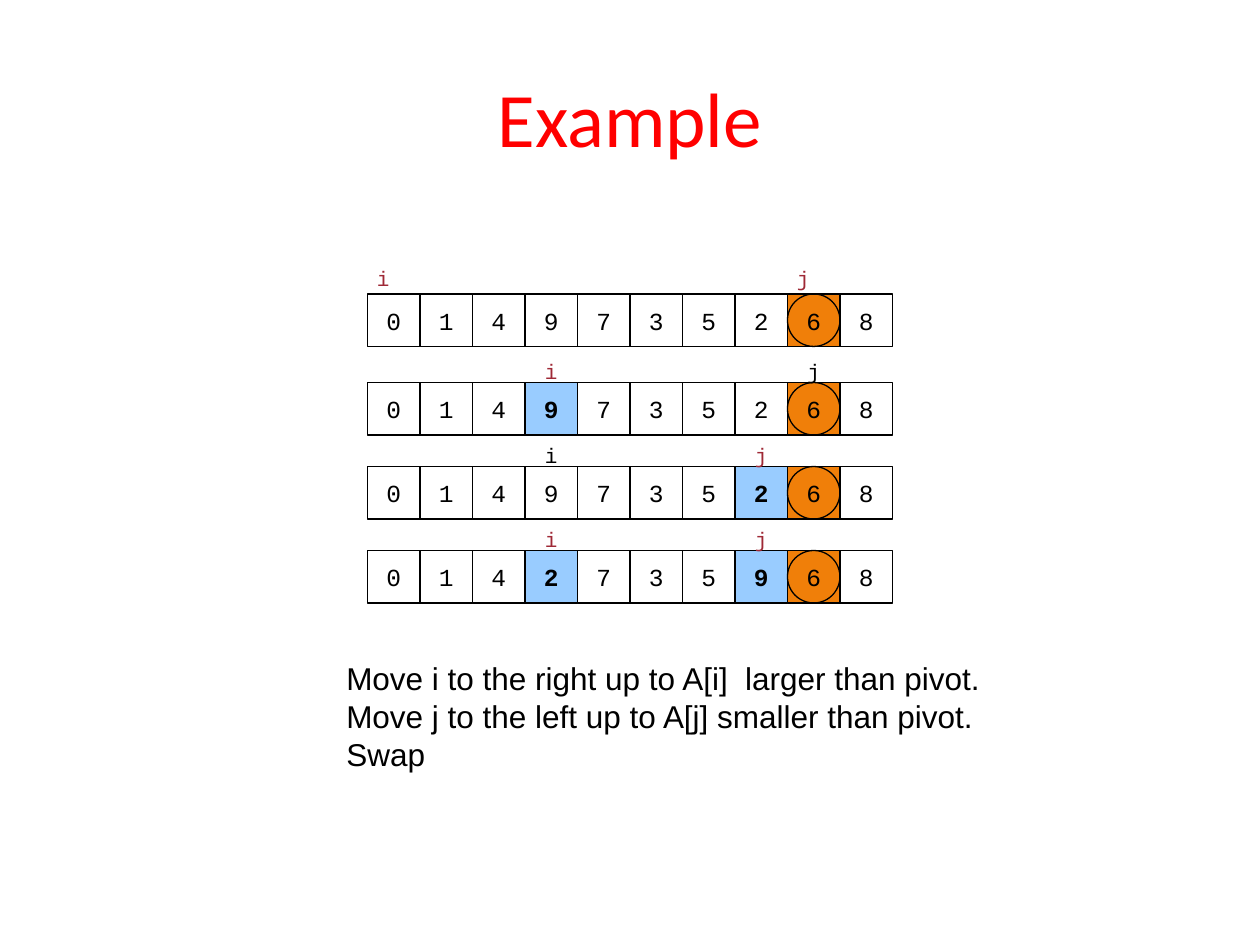
from dataclasses import dataclass
from typing import Any

from pptx import Presentation
from pptx.dml.color import RGBColor
from pptx.enum.shapes import MSO_SHAPE
from pptx.enum.text import MSO_ANCHOR, MSO_AUTO_SIZE, PP_ALIGN
from pptx.util import Pt

RECTANGLE, OVAL = MSO_SHAPE.RECTANGLE, MSO_SHAPE.OVAL
MIDDLE, TOP = MSO_ANCHOR.MIDDLE, MSO_ANCHOR.TOP
CENTER, LEFT = PP_ALIGN.CENTER, PP_ALIGN.LEFT
GROW = MSO_AUTO_SIZE.SHAPE_TO_FIT_TEXT
TITLE_ONLY = 5


@dataclass(frozen=True)
class Theme:
    black: RGBColor = RGBColor(0, 0, 0)
    title: RGBColor = RGBColor(0xFF, 0, 0)
    moved: RGBColor = RGBColor(0x9F, 0x29, 0x36)
    pivot: RGBColor = RGBColor(0xF0, 0x7F, 0x09)
    highlight: RGBColor = RGBColor(0x99, 0xCC, 0xFF)
    title_font: str = "Calibri"
    code_font: str = "Courier New"
    body_font: str = "Arial"
    title_size: float = 44
    body_size: float = 18
    value_size: float = 14
    index_size: float = 12
    line_width: float = 0.75


@dataclass(frozen=True)
class Index:
    name: str
    column: int
    color: RGBColor


@dataclass(frozen=True)
class Step:
    top: float
    values: str
    highlighted: tuple[int, ...]
    indices: tuple[Index, ...]
    index_shift: tuple[float, float] = (0, -21.3)


THEME = Theme()
CELL = 30
ARRAY_LEFT = 210
PIVOT_COLUMN = 8
STEPS = (
    Step(168, "0149735268", (),
         (Index("i", 0, THEME.moved), Index("j", 8, THEME.moved)), (-6, -24)),
    Step(218.6, "0149735268", (3,),
         (Index("i", 3, THEME.moved), Index("j", 8, THEME.black))),
    Step(266.6, "0149735268", (7,),
         (Index("i", 3, THEME.black), Index("j", 7, THEME.moved))),
    Step(314.6, "0142735968", (3, 7),
         (Index("i", 3, THEME.moved), Index("j", 7, THEME.moved))),
)
RULES = (
    "Move i to the right up to A[i]  larger than pivot.",
    "Move j to the left up to A[j] smaller than pivot.",
    "Swap",
)


def write(shape: Any, lines: tuple[str, ...], font: str, size: float, color: RGBColor,
          bold: bool = False, alignment: PP_ALIGN = CENTER,
          anchor: MSO_ANCHOR = MIDDLE, wrap: bool = False) -> None:
    frame = shape.text_frame
    frame.word_wrap = wrap
    frame.vertical_anchor = anchor
    frame.text = "\n".join(lines)
    font_format = {"name": font, "size": Pt(size), "bold": bold}
    for paragraph in frame.paragraphs:
        paragraph.alignment = alignment
        for run in paragraph.runs:
            for attribute, value in font_format.items():
                setattr(run.font, attribute, value)
            run.font.color.rgb = color


def add_cell(slide: Any, kind: MSO_SHAPE, column: int, top: float,
             fill: RGBColor | None = None) -> Any:
    shape = slide.shapes.add_shape(
        kind, Pt(ARRAY_LEFT + column * CELL), Pt(top), Pt(CELL), Pt(CELL))
    shape.shadow.inherit = False
    if fill is None:
        shape.fill.background()
    else:
        shape.fill.solid()
        shape.fill.fore_color.rgb = fill
    shape.line.color.rgb = THEME.black
    shape.line.width = Pt(THEME.line_width)
    return shape


def add_step(slide: Any, step: Step) -> None:
    """Draw one state of the array with its circled pivot and index letters."""
    fills = {column: THEME.highlight for column in step.highlighted}
    fills[PIVOT_COLUMN] = THEME.pivot
    for column, value in enumerate(step.values):
        cell = add_cell(slide, RECTANGLE, column, step.top, fills.get(column))
        write(cell, (value,), THEME.code_font, THEME.value_size, THEME.black,
              bold=column in step.highlighted)
    add_cell(slide, OVAL, PIVOT_COLUMN, step.top)
    shift_x, shift_y = step.index_shift
    for index in step.indices:
        label = slide.shapes.add_textbox(
            Pt(ARRAY_LEFT + index.column * CELL + shift_x), Pt(step.top + shift_y),
            Pt(CELL), Pt(CELL))
        write(label, (index.name,), THEME.code_font, THEME.index_size, index.color)


def add_title(slide: Any, text: str) -> None:
    title = slide.shapes.title
    place = {"left": Pt(36), "top": Pt(21.6), "width": Pt(648), "height": Pt(90)}
    for attribute, value in place.items():
        setattr(title, attribute, value)
    write(title, (text,), THEME.title_font, THEME.title_size, THEME.title, wrap=True)


def add_rules(slide: Any) -> None:
    rules = slide.shapes.add_textbox(Pt(190.8), Pt(373), Pt(417), Pt(79.2))
    write(rules, RULES, THEME.body_font, THEME.body_size, THEME.black,
          alignment=LEFT, anchor=TOP)
    rules.text_frame.auto_size = GROW


def main() -> None:
    presentation = Presentation()
    presentation.slide_width, presentation.slide_height = Pt(720), Pt(540)
    slide = presentation.slides.add_slide(presentation.slide_layouts[TITLE_ONLY])
    add_title(slide, "Example")
    for step in STEPS:
        add_step(slide, step)
    add_rules(slide)
    presentation.save("out.pptx")


if __name__ == "__main__":
    main()
